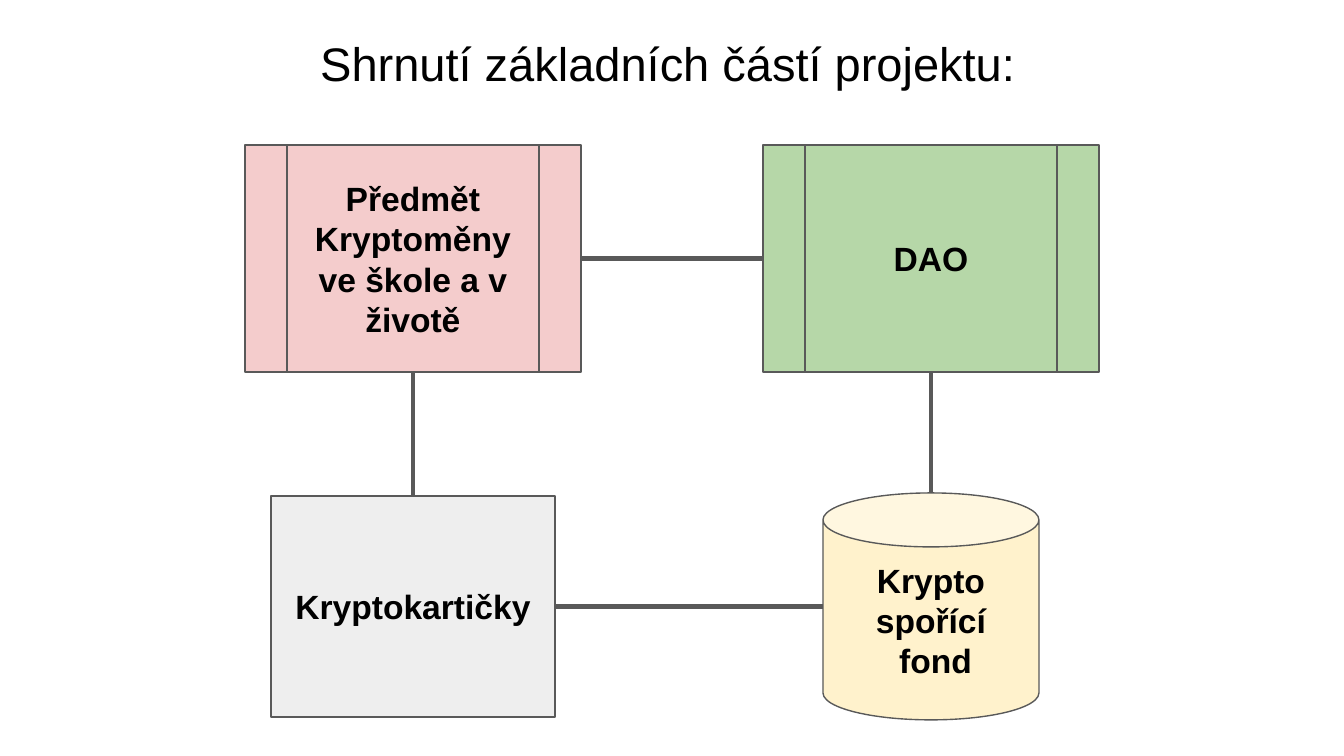
from lxml import etree
from pptx import Presentation
from pptx.dml.color import RGBColor
from pptx.enum.shapes import MSO_CONNECTOR, MSO_SHAPE
from pptx.enum.text import MSO_ANCHOR, PP_ALIGN
from pptx.oxml.ns import qn
from pptx.util import Emu, Pt

PROCESS = MSO_SHAPE.FLOWCHART_PREDEFINED_PROCESS
RECTANGLE = MSO_SHAPE.RECTANGLE
CAN = MSO_SHAPE.CAN
STRAIGHT = MSO_CONNECTOR.STRAIGHT
CENTER = PP_ALIGN.CENTER
MIDDLE, BOTTOM = MSO_ANCHOR.MIDDLE, MSO_ANCHOR.BOTTOM
TOP_SIDE, LEFT_SIDE, BOTTOM_SIDE, RIGHT_SIDE = range(4)

FONT = "Arial"
COLORS = {
    "text": "000000", "line": "595959", "green": "B6D7A8",
    "yellow": "FFF2CC", "pink": "F4CCCC", "gray": "EEEEEE",
}

# Content: boxes are left, top, width, height in px
TITLE = "Shrnutí základních částí projektu: "
TITLE_BOX = (48, 19, 1253, 85)
PARTS = {
    "dao": (PROCESS, "green", (763, 145, 336, 227), "DAO"),
    "fund": (CAN, "yellow", (823, 493, 216, 227), "Krypto spořící\n fond"),
    "subject": (PROCESS, "pink", (245, 145, 336, 227),
                "Předmět Kryptoměny ve škole a v životě"),
    "cards": (RECTANGLE, "gray", (271, 496, 284, 221), "Kryptokartičky"),
}
LINKS = [
    ("subject", RIGHT_SIDE, "dao", LEFT_SIDE),
    ("dao", BOTTOM_SIDE, "fund", TOP_SIDE),
    ("subject", BOTTOM_SIDE, "cards", TOP_SIDE),
    ("cards", RIGHT_SIDE, "fund", LEFT_SIDE),
]


def px(value):
    return Emu(round(value * 914400 / 134.4))


def color(name):
    return RGBColor.from_string(COLORS[name])


def set_text(shape, text, size, bold, anchor):
    frame = shape.text_frame
    frame.text = text
    frame.word_wrap = True
    frame.vertical_anchor = anchor
    frame.margin_left = frame.margin_right = px(13)
    frame.margin_top = frame.margin_bottom = px(13)
    for paragraph in frame.paragraphs:
        paragraph.alignment = CENTER
        for run in paragraph.runs:
            run.font.name = FONT
            run.font.size = Pt(size)
            run.font.bold = bold
            run.font.color.rgb = color("text")


def side_middle(shape, side):
    """Return the middle point of one side of a shape."""
    x = {LEFT_SIDE: 0, RIGHT_SIDE: 1}.get(side, 0.5)
    y = {TOP_SIDE: 0, BOTTOM_SIDE: 1}.get(side, 0.5)
    return (Emu(round(shape.left + x * shape.width)),
            Emu(round(shape.top + y * shape.height)))


presentation = Presentation()
presentation.slide_width, presentation.slide_height = px(1344), px(756)
slide = presentation.slides.add_slide(presentation.slide_layouts[5])

# Title
title = slide.shapes.title
title.left, title.top, title.width, title.height = map(px, TITLE_BOX)
set_text(title, TITLE, 25.2, False, BOTTOM)

# Project parts
shapes = {}
for name, (kind, fill, box, text) in PARTS.items():
    shape = slide.shapes.add_shape(kind, *map(px, box))
    shape.shadow.inherit = False
    shape.fill.solid()
    shape.fill.fore_color.rgb = color(fill)
    shape.line.color.rgb = color("line")
    shape.line.width = Pt(0.75)
    set_text(shape, text, 18, True, MIDDLE)
    shapes[name] = shape

# Links; the can numbers its connection sites differently, so it is not joined
for start, start_side, end, end_side in LINKS:
    connector = slide.shapes.add_connector(
        STRAIGHT, *side_middle(shapes[start], start_side),
        *side_middle(shapes[end], end_side))
    connector.begin_connect(shapes[start], start_side)
    if PARTS[end][0] != CAN:
        connector.end_connect(shapes[end], end_side)
    connector.line.color.rgb = color("line")
    connector.line.width = Pt(2.25)
    etree.SubElement(connector._element.spPr, qn("a:effectLst"))

presentation.save("out.pptx")
